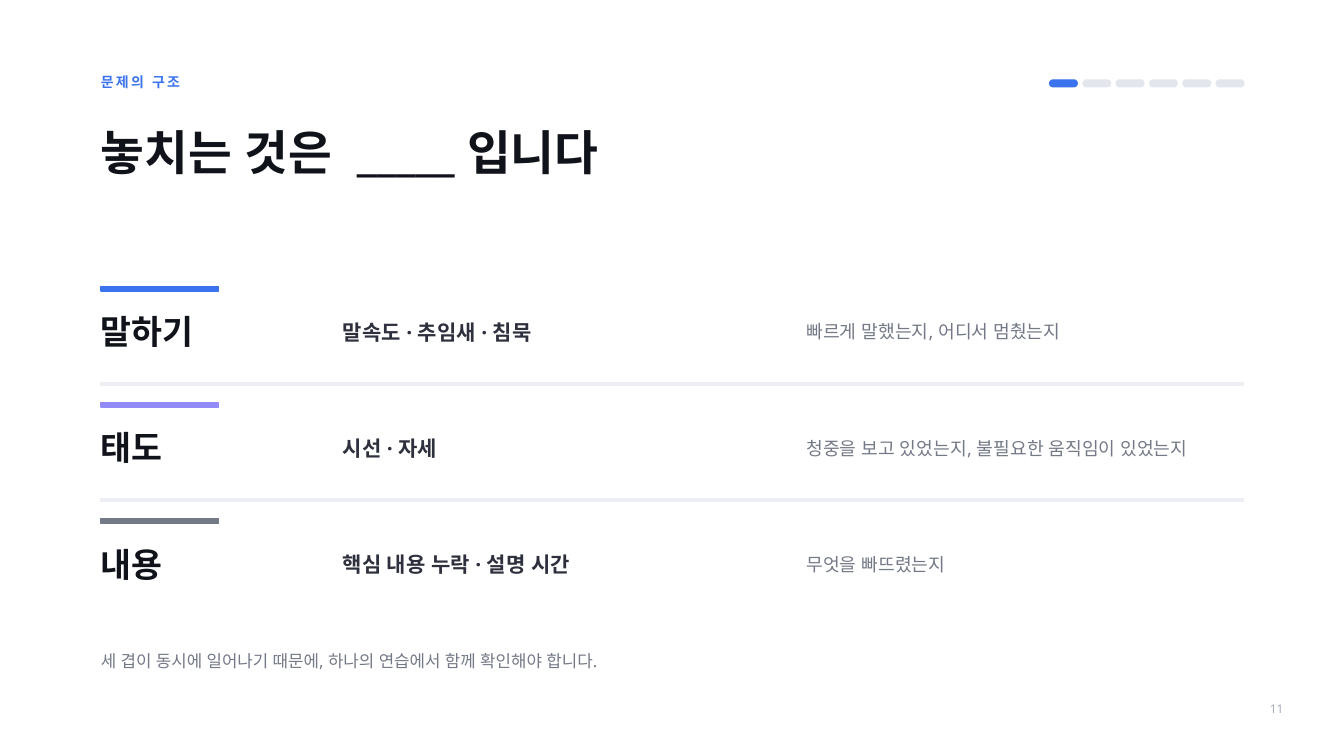
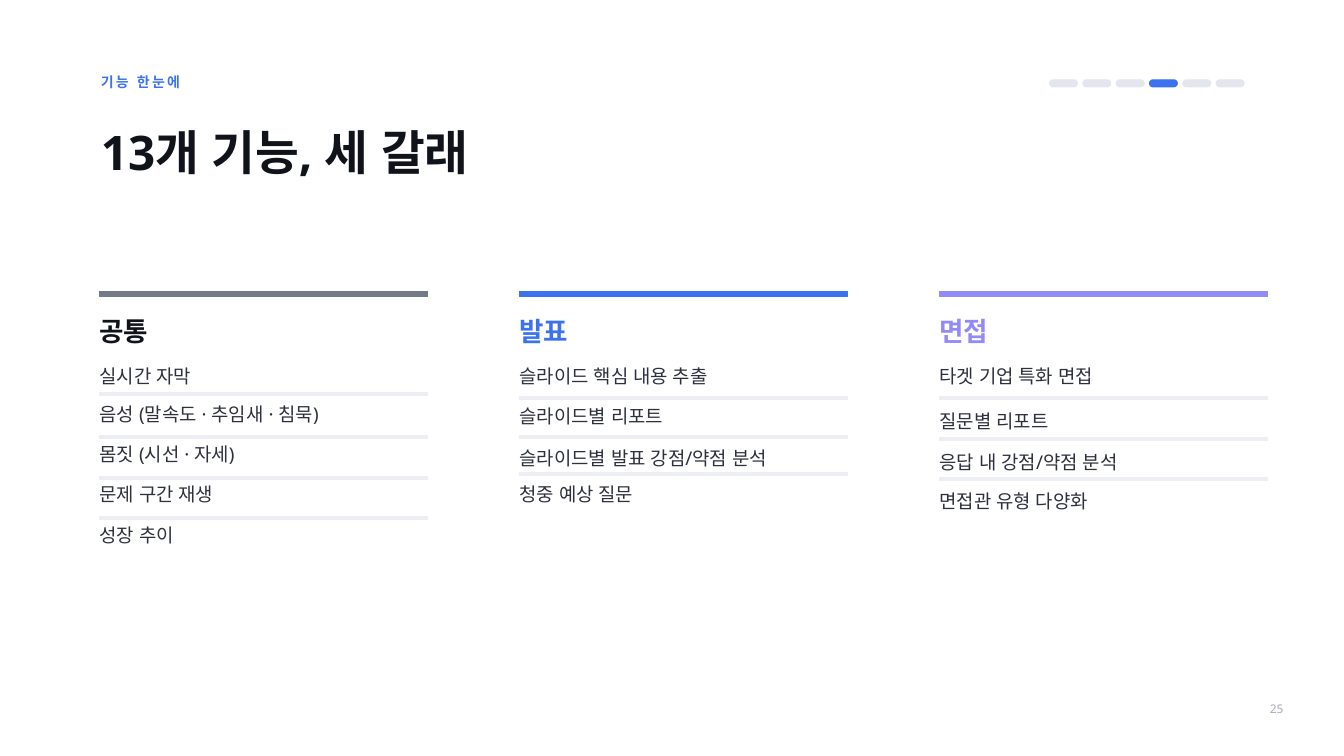
from lxml import etree
from pptx import Presentation
from pptx.dml.color import RGBColor
from pptx.enum.shapes import MSO_SHAPE
from pptx.enum.text import MSO_ANCHOR, MSO_AUTO_SIZE, PP_ALIGN
from pptx.oxml.ns import qn
from pptx.util import Inches, Pt

RECTANGLE, PILL = MSO_SHAPE.RECTANGLE, MSO_SHAPE.ROUNDED_RECTANGLE
TOP, MIDDLE = MSO_ANCHOR.TOP, MSO_ANCHOR.MIDDLE
LEFT, RIGHT = PP_ALIGN.LEFT, PP_ALIGN.RIGHT
FIXED_SIZE = MSO_AUTO_SIZE.NONE

BLUE = RGBColor(0x3B, 0x73, 0xEE)
VIOLET = RGBColor(0x92, 0x8A, 0xF7)
GRAY = RGBColor(0x74, 0x79, 0x87)
INK = RGBColor(0x11, 0x13, 0x1B)
BODY = RGBColor(0x2E, 0x31, 0x3D)
PALE = RGBColor(0xE4, 0xE6, 0xEE)
RULE = RGBColor(0xEC, 0xEE, 0xF4)
PAGE_GRAY = RGBColor(0xA9, 0xAD, 0xB8)

FONT = "Noto Sans"
TITLE_ONLY = 5
MARGIN = 1.5
CONTENT_WIDTH = 17
BAR_HEIGHT, RULE_HEIGHT = 0.07, 0.04
STEPS = 6
TITLE_SIZE = 51
SPACE_WIDTH = 13.3  # points, one space at title size


def style_frame(frame, size, color, bold, line, align=LEFT, anchor=TOP, tracking=0):
    """Format a one-paragraph frame without insets."""
    frame.word_wrap = True
    frame.auto_size = FIXED_SIZE
    frame.vertical_anchor = anchor
    frame.margin_left = frame.margin_right = frame.margin_top = frame.margin_bottom = 0
    paragraph = frame.paragraphs[0]
    paragraph.alignment = align
    paragraph.line_spacing = Pt(line)
    font = paragraph.font
    font.name, font.size, font.bold = FONT, Pt(size), bold
    font.color.rgb = color
    properties = paragraph._p.pPr.find(qn("a:defRPr"))
    east_asian = etree.Element(qn("a:ea"), typeface=FONT)
    properties.find(qn("a:latin")).addnext(east_asian)
    if tracking:
        properties.set("spc", str(round(tracking * 100)))


def add_text(slide, text, left, top, width, height, size, color,
             bold=False, line=None, **options):
    box = slide.shapes.add_textbox(Inches(left), Inches(top), Inches(width), Inches(height))
    box.text_frame.text = text
    style_frame(box.text_frame, size, color, bold, line or size * 1.2, **options)


def add_block(slide, left, top, width, height, color, kind=RECTANGLE):
    block = slide.shapes.add_shape(
        kind, Inches(left), Inches(top), Inches(width), Inches(height))
    block.shadow.inherit = False
    block.fill.solid()
    block.fill.fore_color.rgb = color
    block.line.color.rgb = color
    block.line.width = Pt(1.5)
    return block


def add_title(slide, parts):
    """Place the title; a part that is a single space is drawn double width."""
    title = slide.shapes.title
    title.left, title.top = Inches(MARGIN), Inches(1.66)
    title.width, title.height = Inches(CONTENT_WIDTH), Inches(0.98)
    paragraph = title.text_frame.paragraphs[0]
    for part in parts:
        run = paragraph.add_run()
        run.text = part
        if part == " ":
            run._r.get_or_add_rPr().set("spc", str(round(SPACE_WIDTH * 100)))
    style_frame(title.text_frame, TITLE_SIZE, INK, True, 73.4)


def add_progress(slide, left, top, width, active):
    pill_width = 0.41
    pitch = (width - pill_width) / (STEPS - 1)
    for step in range(STEPS):
        color = BLUE if step == active else PALE
        pill = add_block(slide, left + step * pitch, top, pill_width, 0.1, color, PILL)
        pill.adjustments[0] = 0.5


def start_slide(deck, section, title_parts, active, page):
    """Section label, title, progress pills and page number."""
    slide = deck.slides.add_slide(deck.slide_layouts[TITLE_ONLY])
    add_text(slide, section, MARGIN, 1.09, 9.75, 0.42, 15, BLUE, True, tracking=2.4)
    add_title(slide, title_parts)
    add_progress(slide, 15.62, 1.19, 2.89, active)
    add_text(slide, page, 18.35, 10.37, 0.75, 0.34, 12.8, PAGE_GRAY,
             align=RIGHT, anchor=MIDDLE)
    return slide


def add_layer_row(slide, left, top, color, name, signals, question):
    add_block(slide, left, top, 1.75, BAR_HEIGHT, color)
    add_text(slide, name, left, top + 0.37, 3, 0.75, 36, INK, True)
    add_text(slide, signals, left + 3.6, top + 0.49, 6.45, 0.6, 22.5, BODY, True)
    add_text(slide, question, left + 10.5, top + 0.51, 6.5, 0.61, 19.5, GRAY)


def add_feature_column(slide, left, top, color, heading_color, heading,
                       features, rule_offsets):
    """Heading under a bar, then (offset, feature) lines with rules between."""
    width = 4.88
    add_block(slide, left, top, width, BAR_HEIGHT, color)
    add_text(slide, heading, left, top + 0.34, width, 0.6, 28.5, heading_color, True)
    for offset, feature in features:
        add_text(slide, feature, left, top + offset, width, 0.34, 20.2, BODY)
    for offset in rule_offsets:
        add_block(slide, left, top + offset, width, RULE_HEIGHT, RULE)


def build_layers_slide(deck):
    slide = start_slide(deck, "문제의 구조", ("놓치는 것은", " ", "_____ 입니다"), 0, "11")
    layers = [
        (BLUE, "말하기", "말속도 · 추임새 · 침묵", "빠르게 말했는지, 어디서 멈췄는지"),
        (VIOLET, "태도", "시선 · 자세", "청중을 보고 있었는지, 불필요한 움직임이 있었는지"),
        (GRAY, "내용", "핵심 내용 누락 · 설명 시간", "무엇을 빠뜨렸는지"),
    ]
    first_top, pitch = 4.26, 1.73
    for index, layer in enumerate(layers):
        top = first_top + index * pitch
        add_layer_row(slide, MARGIN, top, *layer)
        if index:
            add_block(slide, MARGIN, top - 0.3, CONTENT_WIDTH, RULE_HEIGHT, RULE)
    add_text(slide, "세 겹이 동시에 일어나기 때문에, 하나의 연습에서 함께 확인해야 합니다.",
             MARGIN, 9.69, CONTENT_WIDTH, 0.28, 18, GRAY)


def build_features_slide(deck):
    slide = start_slide(deck, "기능 한눈에", ("13개 기능, 세 갈래",), 3, "25")
    columns = [
        (GRAY, INK, "공통",
         [(1.08, "실시간 자막"), (1.65, "음성 (말속도 · 추임새 · 침묵)"),
          (2.25, "몸짓 (시선 · 자세)"), (2.85, "문제 구간 재생"), (3.45, "성장 추이")],
         (1.5, 2.15, 2.75, 3.35)),
        (BLUE, BLUE, "발표",
         [(1.08, "슬라이드 핵심 내용 추출"), (1.68, "슬라이드별 리포트"),
          (2.3, "슬라이드별 발표 강점/약점 분석"), (2.84, "청중 예상 질문")],
         (1.57, 2.15, 2.7)),
        (VIOLET, VIOLET, "면접",
         [(1.08, "타겟 기업 특화 면접"), (1.75, "질문별 리포트"),
          (2.36, "응답 내 강점/약점 분석"), (2.95, "면접관 유형 다양화")],
         (1.57, 2.17, 2.77)),
    ]
    for index, column in enumerate(columns):
        add_feature_column(slide, 1.48 + index * 6.25, 4.34, *column)


def main():
    deck = Presentation()
    deck.slide_width, deck.slide_height = Inches(20), Inches(11.25)
    build_layers_slide(deck)
    build_features_slide(deck)
    deck.save("out.pptx")


if __name__ == "__main__":
    main()
